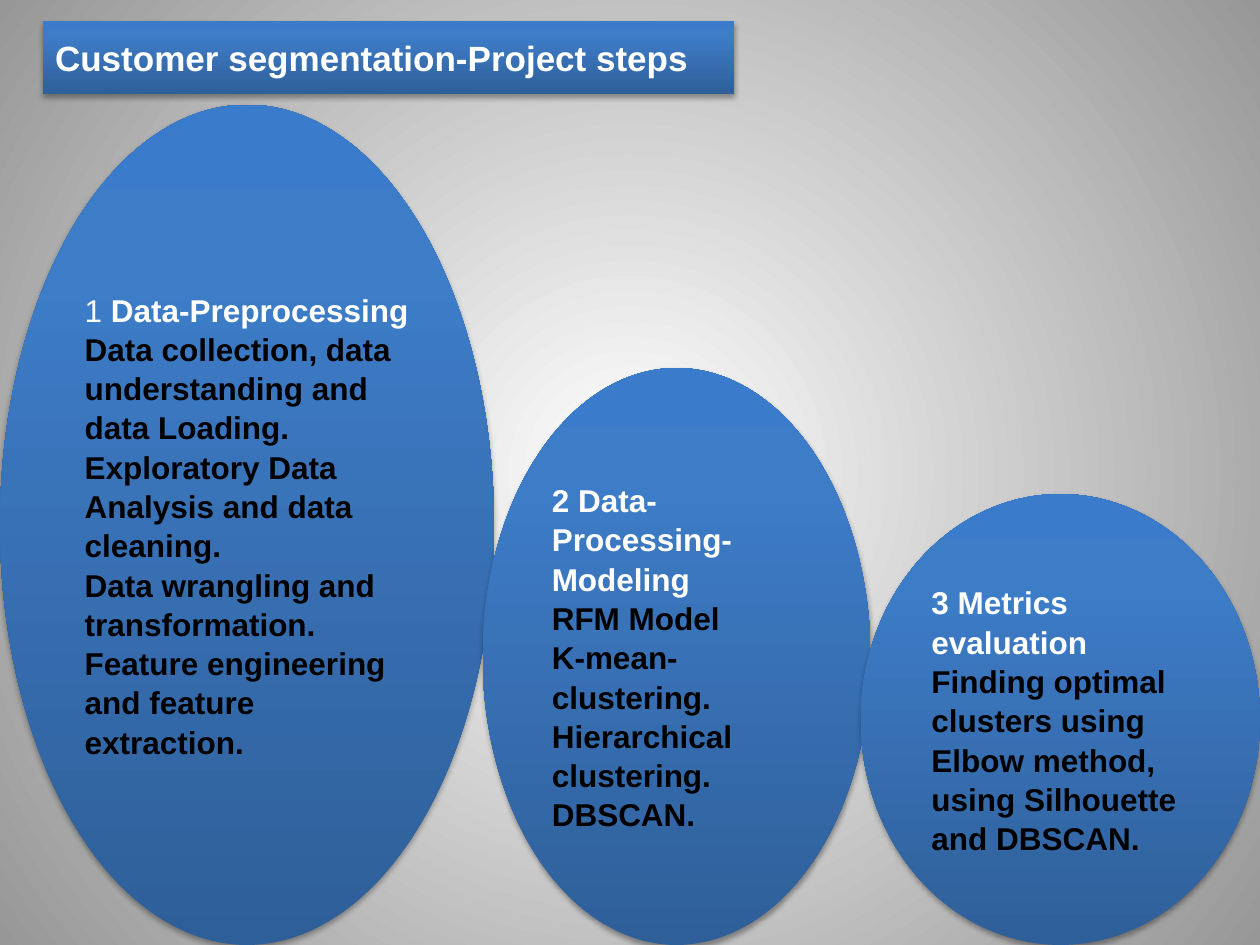
"""Build the customer segmentation project steps slide."""
from dataclasses import dataclass

from pptx import Presentation
from pptx.dml.color import RGBColor
from pptx.enum.shapes import MSO_SHAPE
from pptx.enum.text import MSO_ANCHOR, MSO_AUTO_SIZE, PP_ALIGN
from pptx.oxml import parse_xml
from pptx.oxml.ns import nsdecls
from pptx.util import Cm, Pt

COLOURS = {
    "white": "FFFFFF",
    "black": "000000",
    "grey": "979797",
    "blue_deep": "2F5F99",
    "blue_mid": "3D7CC7",
    "blue_light": "3A7CCB",
}
FONT = "Arial"
PAGE_WIDTH, PAGE_HEIGHT = 25.4, 19.05
UPWARD = '<a:lin ang="16200000" scaled="0"/>'
FROM_CENTRE = '<a:path path="circle"><a:fillToRect l="50000" t="50000" r="50000" b="50000"/></a:path>'
BLUE_STOPS = ((0, "blue_deep"), (80, "blue_mid"), (100, "blue_light"))
PAGE_STOPS = ((0, "white"), (100, "grey"))


@dataclass(frozen=True)
class Step:
    """One ellipse standing on the bottom edge, measured in centimetres."""

    left: float
    top: float
    width: float
    number: str
    heading: str
    details: tuple[str, ...]
    number_bold: bool = True


STEPS = (
    Step(0, 2.11, 9.96, "1 ", "Data-Preprocessing", (
        "Data collection, data understanding and data Loading.",
        "Exploratory Data Analysis and data cleaning.",
        "Data wrangling and transformation.",
        "Feature engineering and feature extraction.",
    ), number_bold=False),
    Step(9.73, 7.42, 7.82, "2 ", "Data-Processing-Modeling", (
        "RFM Model",
        "K-mean-clustering.",
        "Hierarchical clustering.",
        "DBSCAN.",
    )),
    Step(17.35, 9.96, 8.05, "3 ", "Metrics evaluation", (
        "Finding optimal clusters using Elbow method, using Silhouette",
        "and DBSCAN.",
    )),
)


def set_gradient(fill, parent, stops: tuple, direction: str) -> None:
    """Give the fill the listed colour stops and direction."""
    fill.gradient()
    marks = "".join(
        f'<a:gs pos="{position * 1000}"><a:srgbClr val="{COLOURS[name]}"/></a:gs>'
        for position, name in stops
    )
    gradient = parse_xml(
        f'<a:gradFill {nsdecls("a")} rotWithShape="1"><a:gsLst>{marks}</a:gsLst>{direction}</a:gradFill>'
    )
    previous = parent.xpath(".//a:gradFill")[0]
    previous.getparent().replace(previous, gradient)


def style_panel(shape) -> None:
    """Apply the blue gradient and soft lower shadow."""
    properties = shape._element.spPr
    set_gradient(shape.fill, properties, BLUE_STOPS, UPWARD)
    shape.line.fill.background()
    shape.shadow.inherit = False
    properties.xpath("./a:effectLst")[0].append(parse_xml(
        f'<a:outerShdw {nsdecls("a")} blurRad="40000" dist="23000" dir="5400000" rotWithShape="0">'
        f'<a:srgbClr val="{COLOURS["black"]}"><a:alpha val="35000"/></a:srgbClr></a:outerShdw>'
    ))


def add_span(paragraph, text: str, size: int, colour: str, bold: bool = True) -> None:
    """Add one formatted run."""
    span = paragraph.add_run()
    span.text = text
    span.font.name = FONT
    span.font.size = Pt(size)
    span.font.bold = bold
    span.font.color.rgb = RGBColor.from_string(COLOURS[colour])


def draw_title(page, text: str) -> None:
    """Move and format the title placeholder."""
    box = page.shapes.title
    box.left, box.top, box.width, box.height = Cm(0.86), Cm(0.43), Cm(13.94), Cm(1.47)
    style_panel(box)
    frame = box.text_frame
    frame.auto_size = MSO_AUTO_SIZE.NONE
    frame.word_wrap = True
    frame.vertical_anchor = MSO_ANCHOR.MIDDLE
    frame.margin_left = frame.margin_right = frame.margin_top = frame.margin_bottom = Cm(0.25)
    paragraph = frame.paragraphs[0]
    paragraph.alignment = PP_ALIGN.LEFT
    add_span(paragraph, text, 20, "white")


def draw_step(page, step: Step) -> None:
    """Draw one step ellipse with its heading and details."""
    box = page.shapes.add_shape(
        MSO_SHAPE.OVAL, Cm(step.left), Cm(step.top), Cm(step.width), Cm(PAGE_HEIGHT - step.top)
    )
    style_panel(box)
    frame = box.text_frame
    frame.word_wrap = True
    frame.vertical_anchor = MSO_ANCHOR.MIDDLE
    heading = frame.paragraphs[0]
    add_span(heading, step.number, 18, "white", step.number_bold)
    add_span(heading, step.heading, 18, "white")
    for detail in step.details:
        add_span(frame.add_paragraph(), detail, 18, "black")
    for paragraph in frame.paragraphs:
        paragraph.alignment = PP_ALIGN.LEFT
        paragraph.line_spacing = 1.04


def main() -> None:
    """Build and save the deck."""
    deck = Presentation()
    deck.slide_width, deck.slide_height = Cm(PAGE_WIDTH), Cm(PAGE_HEIGHT)
    page = deck.slides.add_slide(deck.slide_layouts.get_by_name("Title Only"))
    set_gradient(page.background.fill, page._element, PAGE_STOPS, FROM_CENTRE)
    draw_title(page, "Customer segmentation-Project steps")
    for step in STEPS:
        draw_step(page, step)
    deck.save("out.pptx")


if __name__ == "__main__":
    main()
